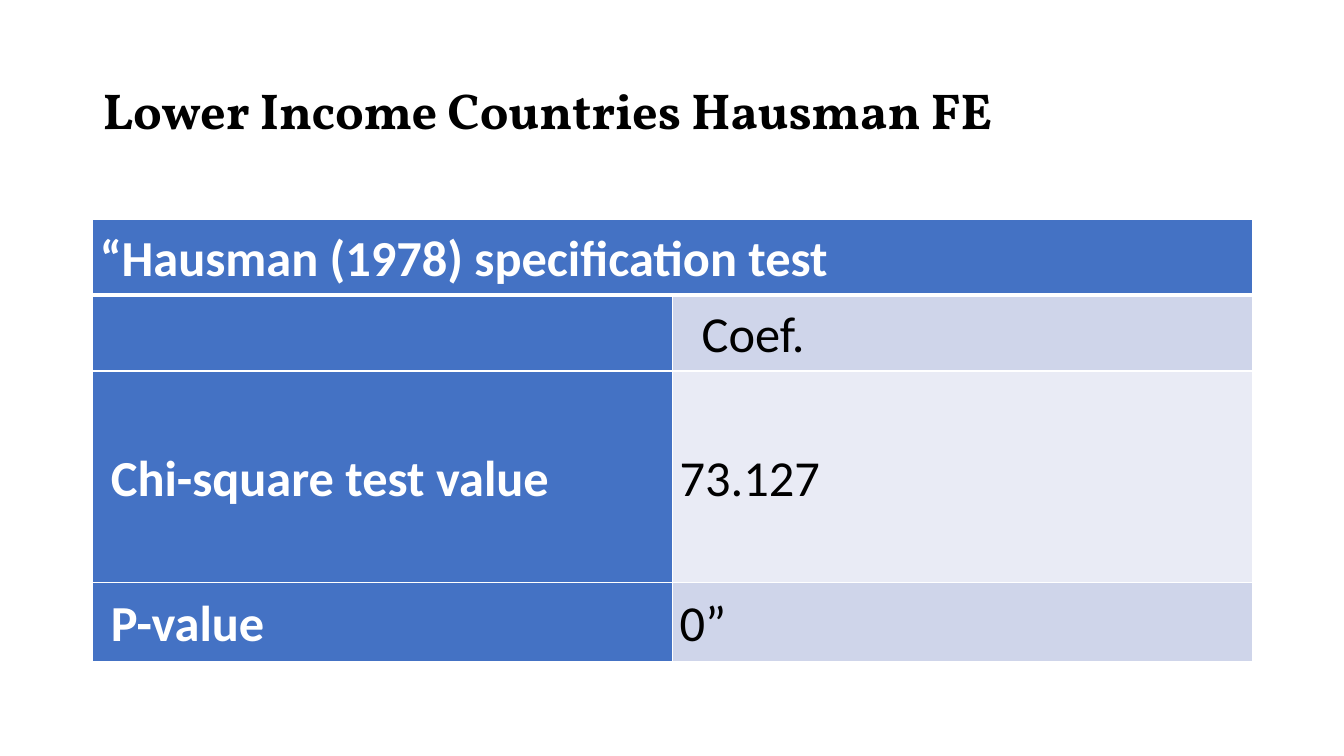
from pptx import Presentation
from pptx.dml.color import RGBColor
from pptx.enum.text import MSO_ANCHOR, PP_ALIGN
from pptx.oxml import parse_xml
from pptx.oxml.ns import nsdecls
from pptx.util import Inches, Pt

BLACK = RGBColor(0x00, 0x00, 0x00)
WHITE = RGBColor(0xFF, 0xFF, 0xFF)
BLUE = RGBColor(0x44, 0x72, 0xC4)
MID = RGBColor(0xCF, 0xD5, 0xEA)
PALE = RGBColor(0xE9, 0xEB, 0xF5)

LEFT, WIDTH = 0.92, 11.5
HEIGHTS = [0.75, 0.75, 2.1, 0.78]
PAD = 0.07
SPACE = 0.11
ROWS = [
    [("“Hausman (1978) specification test", 0), ("", 0)],
    [("", 0), ("Coef.", 2)],
    [("Chi-square test value", 1), ("73.127", 0)],
    [("P-value", 1), ("0”", 0)],
]


def style(para, font, color, bold):
    for run in para.runs:
        run.font.name = font
        run.font.size = Pt(36)
        run.font.bold = bold
        run.font.color.rgb = color


def add_title(slide, text):
    title = slide.shapes.title
    title.left, title.top = Inches(LEFT), Inches(0.4)
    title.width, title.height = Inches(WIDTH), Inches(1.45)
    frame = title.text_frame
    frame.text = text
    frame.word_wrap = True
    frame.vertical_anchor = MSO_ANCHOR.MIDDLE
    para = frame.paragraphs[0]
    para.alignment = PP_ALIGN.LEFT
    para.line_spacing = 0.9
    style(para, "Vollkorn", BLACK, True)


def add_edges(cell, base):
    props = cell._tc.get_or_add_tcPr()
    widths = {"lnL": 1, "lnR": 1, "lnT": 1, "lnB": base}
    for index, (side, width) in enumerate(widths.items()):
        props.insert(index, parse_xml(
            f'<a:{side} {nsdecls("a")} w="{Pt(width)}"><a:solidFill>'
            f'<a:srgbClr val="{WHITE}"/></a:solidFill></a:{side}>'))


def fill_cell(cell, text, indent, row, head):
    cell.fill.solid()
    cell.fill.fore_color.rgb = BLUE if head else (MID if row % 2 else PALE)
    cell.vertical_anchor = MSO_ANCHOR.MIDDLE
    cell.margin_left = Inches(PAD + indent * SPACE)
    cell.margin_right = Inches(PAD)
    cell.margin_top = cell.margin_bottom = 0
    cell.text_frame.text = text
    para = cell.text_frame.paragraphs[0]
    para.alignment = PP_ALIGN.JUSTIFY
    para.line_spacing = 1.07
    style(para, "Calibri", WHITE if head else BLACK, head)
    add_edges(cell, 1 if row else 3)


def add_grid(slide):
    frame = slide.shapes.add_table(
        len(ROWS), 2, Inches(LEFT), Inches(2.18),
        Inches(WIDTH), Inches(sum(HEIGHTS)))
    table = frame.table
    table.first_col = True
    for col in table.columns:
        col.width = Inches(WIDTH / 2)
    for row, (height, items) in enumerate(zip(HEIGHTS, ROWS)):
        table.rows[row].height = Inches(height)
        for col, (text, indent) in enumerate(items):
            head = row == 0 or col == 0
            fill_cell(table.cell(row, col), text, indent, row, head)
    table.cell(0, 0).merge(table.cell(0, 1))


def main():
    deck = Presentation()
    deck.slide_width, deck.slide_height = Inches(13.33), Inches(7.5)
    slide = deck.slides.add_slide(deck.slide_layouts[5])
    add_title(slide, "Lower Income Countries Hausman FE")
    add_grid(slide)
    deck.save("out.pptx")


if __name__ == "__main__":
    main()
